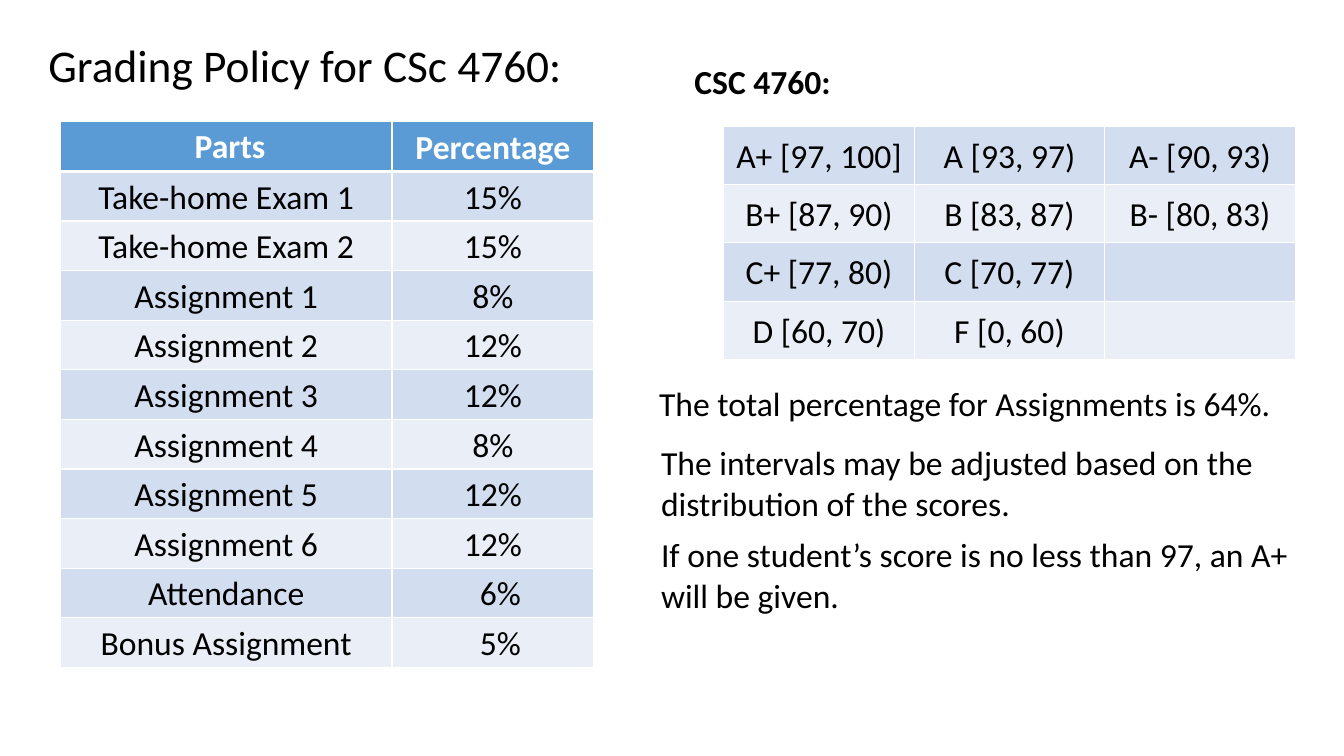
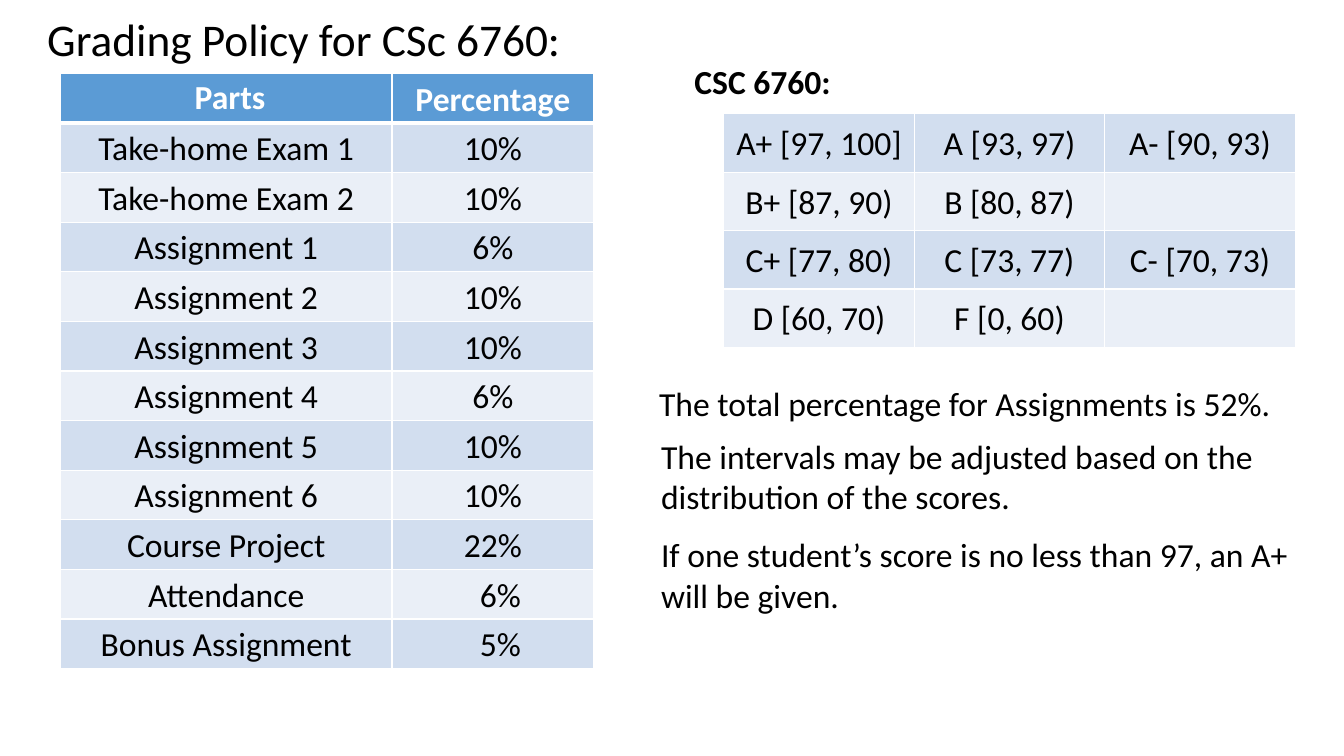
from lxml import etree
from pptx import Presentation
from pptx.dml.color import RGBColor
from pptx.enum.text import MSO_ANCHOR, MSO_AUTO_SIZE, PP_ALIGN
from pptx.oxml.ns import qn
from pptx.util import Cm, Pt

CENTER = PP_ALIGN.CENTER
MIDDLE = MSO_ANCHOR.MIDDLE
GROW = MSO_AUTO_SIZE.SHAPE_TO_FIT_TEXT
FIXED = MSO_AUTO_SIZE.NONE

FONT = "Calibri"
BLACK = "000000"
WHITE = "FFFFFF"
HEADER_BLUE = "5B9BD5"
BANDS = ["D2DEEF", "EAEFF7"]
TITLE_SIZE = 32.4
BODY_SIZE = 24
CELL_MARGIN = 0.18
SPACE_WIDTH = 0.19
INDENTS = {"Parts": SPACE_WIDTH}


def add_run(paragraph, text, size=BODY_SIZE, color=BLACK, bold=False):
    run = paragraph.add_run()
    run.text = text
    run.font.name = FONT
    run.font.size = Pt(size)
    run.font.bold = bold
    run.font.color.rgb = RGBColor.from_string(color)


def add_grid(slide, left, top, widths, row_height, rows, has_header, indents):
    shape = slide.shapes.add_table(
        len(rows), len(widths), Cm(left), Cm(top),
        Cm(sum(widths)), Cm(row_height * len(rows)))
    table = shape.table
    table.first_row = has_header
    for column, width in zip(table.columns, widths):
        column.width = Cm(width)
    for row_index, texts in enumerate(rows):
        table.rows[row_index].height = Cm(row_height)
        is_header = has_header and row_index == 0
        band = BANDS[(row_index - has_header) % 2]
        for column_index, text in enumerate(texts):
            cell = table.cell(row_index, column_index)
            cell.vertical_anchor = MIDDLE
            cell.margin_left = Cm(CELL_MARGIN + indents.get(text, 0))
            cell.margin_right = Cm(CELL_MARGIN)
            cell.margin_top = cell.margin_bottom = 0
            properties = cell._tc.get_or_add_tcPr()
            for side in ("lnL", "lnR", "lnT", "lnB"):
                under_header = has_header and (row_index, side) in [(0, "lnB"), (1, "lnT")]
                line = etree.SubElement(properties, qn("a:" + side), w=str(Pt(3 if under_header else 1)))
                fill = etree.SubElement(line, qn("a:solidFill"))
                etree.SubElement(fill, qn("a:srgbClr"), val=WHITE)
            cell.fill.solid()
            cell.fill.fore_color.rgb = RGBColor.from_string(HEADER_BLUE if is_header else band)
            if not text:
                continue
            paragraph = cell.text_frame.paragraphs[0]
            paragraph.alignment = CENTER
            if text != "Parts":
                paragraph.line_spacing = 1.07
                paragraph.space_before = paragraph.space_after = Pt(3)
            add_run(paragraph, text, color=WHITE if is_header else BLACK, bold=is_header)


courses = [
    {
        "number": "4760",
        "title_box": (0.97, 0.97, 13.67, 1.7),
        "parts_top": 3.07,
        "grades_top": 3.18,
        "intervals_top": 11.02,
        "exam": "15%",
        "assignments": ["8%", "12%", "12%", "8%", "12%", "12%"],
        "project": [],
        "total": "64%",
        "grades": [
            ["A+ [97, 100]", "A [93, 97)", "A- [90, 93)"],
            ["B+ [87, 90)", "B [83, 87)", "B- [80, 83)"],
            ["C+ [77, 80)", "C [70, 77)", ""],
            ["D [60, 70)", "F [0, 60)", ""],
        ],
    },
    {
        "number": "6760",
        "title_box": (0.94, 0.3, 13.67, 1.52),
        "parts_top": 1.85,
        "grades_top": 2.87,
        "intervals_top": 10.85,
        "exam": "10%",
        "assignments": ["6%", "10%", "10%", "6%", "10%", "10%"],
        "project": [["Course Project", "22%"]],
        "total": "52%",
        "grades": [
            ["A+ [97, 100]", "A [93, 97)", "A- [90, 93)"],
            ["B+ [87, 90)", "B [80, 87)", ""],
            ["C+ [77, 80)", "C [73, 77)", "C- [70, 73)"],
            ["D [60, 70)", "F [0, 60)", ""],
        ],
    },
]

presentation = Presentation()
presentation.slide_width = Cm(33.87)
presentation.slide_height = Cm(19.05)
blank_layout = presentation.slide_layouts[6]

for course in courses:
    slide = presentation.slides.add_slide(blank_layout)
    number = course["number"]

    title = slide.shapes.add_textbox(*[Cm(length) for length in course["title_box"]])
    title.text_frame.word_wrap = True
    title.text_frame.auto_size = FIXED
    title.text_frame.margin_bottom = 0
    title_paragraph = title.text_frame.paragraphs[0]
    title_paragraph.line_spacing = 0.9
    add_run(title_paragraph, f"Grading Policy for CSc {number}:", TITLE_SIZE)

    parts = [["Parts", "Percentage"]]
    parts += [[f"Take-home Exam {exam}", course["exam"]] for exam in (1, 2)]
    parts += [[f"Assignment {index}", share] for index, share in enumerate(course["assignments"], 1)]
    parts += course["project"]
    add_grid(slide, 1.52, course["parts_top"], [8.36, 5.08], 1.25,
             parts + [["Attendance", "6%"], ["Bonus Assignment", "5%"]], True, INDENTS)
    parts_table = slide.shapes[-1].table
    for row_index in (len(parts), len(parts) + 1):
        parts_table.cell(row_index, 1).margin_left = Cm(CELL_MARGIN + 2 * SPACE_WIDTH)

    add_grid(slide, 18.24, course["grades_top"], [4.8] * 3, 1.47, course["grades"], False, {})

    notes = [
        (17.25, 1.4, 4.09, 1.27, f"CSC {number}:", True),
        (16.36, 9.53, 17.2, 1.27,
         f"The total percentage for Assignments is {course['total']}.", False),
        (16.41, course["intervals_top"], 17.2, 2.31,
         "The intervals may be adjusted based on the distribution of the scores.", False),
        (16.41, 13.34, 16.71, 2.31,
         "If one student’s score is no less than 97, an A+ will be given.", False),
    ]
    for left, top, width, height, text, bold in notes:
        note = slide.shapes.add_textbox(Cm(left), Cm(top), Cm(width), Cm(height))
        note.text_frame.word_wrap = True
        note.text_frame.auto_size = GROW
        add_run(note.text_frame.paragraphs[0], text, bold=bold)

presentation.save("out.pptx")
